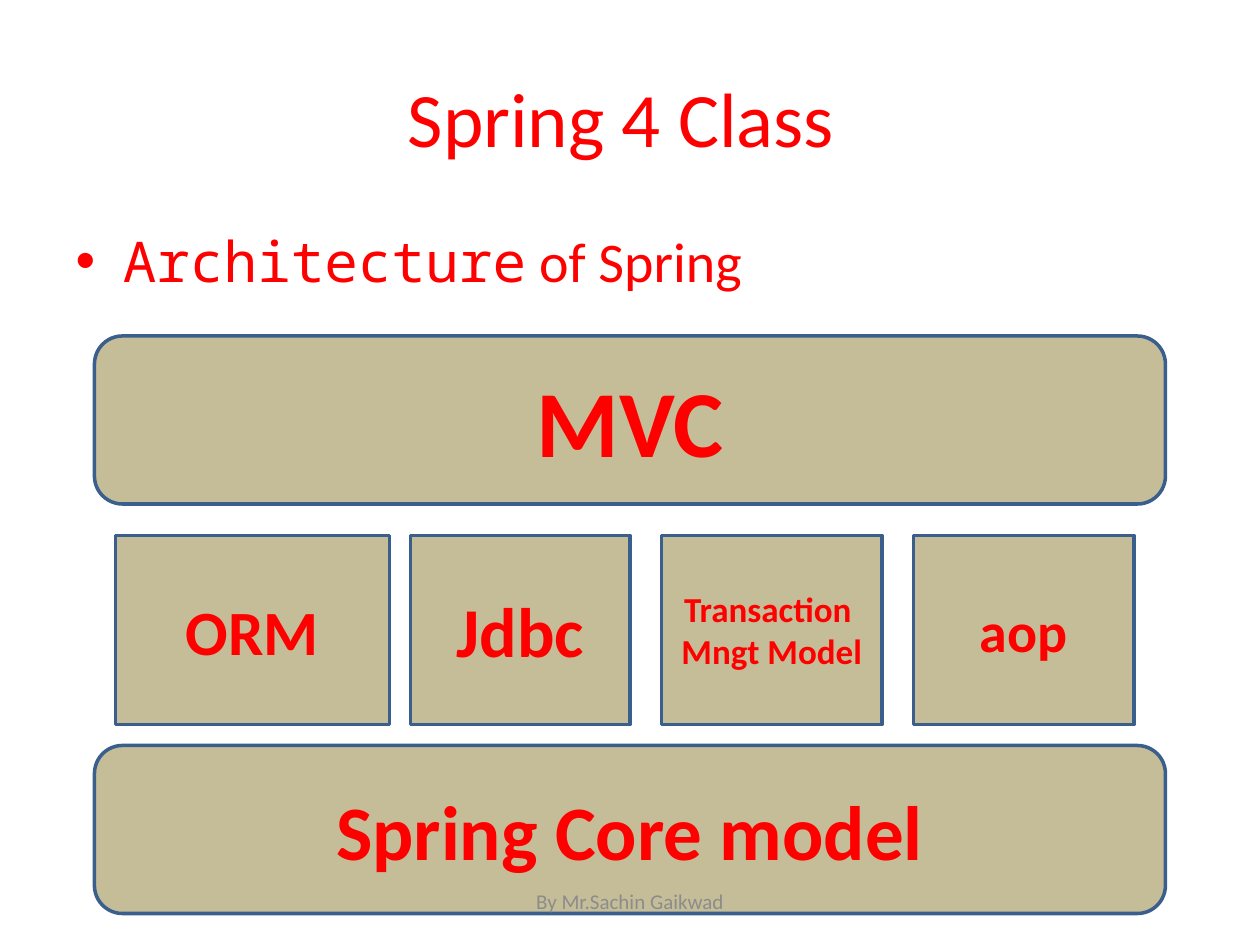
"""Build the Spring architecture slide."""
import pptx
import pptx.util
import pptx.dml.color
import pptx.enum.shapes
import pptx.enum.text

Pt = pptx.util.Pt
SHAPE = pptx.enum.shapes.MSO_SHAPE
ALIGN = pptx.enum.text.PP_ALIGN
MIDDLE = pptx.enum.text.MSO_ANCHOR.MIDDLE

RED, TAN, NAVY, GREY = "FF0000", "C4BD97", "3A5F8C", "8C8C8C"
TITLE = "Spring 4 Class "
TOPIC = [("Architecture", "Noto Sans Mono"), (" of Spring", "Calibri")]
LAYERS = [("Spring Core model", 44, 426), ("MVC", 54, 192)]
MODULES = [
    (["ORM"], 36, 66, 156.5),
    (["Jdbc"], 40, 234.5, 125.5),
    (["Transaction ", "Mngt Model"], 20, 378, 126),
    (["aop"], 32, 522, 126),
]
AUTHOR = "By Mr.Sachin Gaikwad"


def colour(value):
    return pptx.dml.color.RGBColor.from_string(value)


def apply(target, formats):
    for name, value in formats.items():
        setattr(target, name, value)


def place(part, left, top, width, height):
    box = {"left": left, "top": top, "width": width, "height": height}
    apply(part, {side: Pt(length) for side, length in box.items()})


def add_run(paragraph, words, size, ink=RED, face="Calibri", bold=False):
    run = paragraph.add_run()
    run.text = words
    apply(run.font, {"name": face, "size": Pt(size), "bold": bold})
    run.font.color.rgb = colour(ink)


def write_centred(frame, lines, size, **style):
    apply(frame, {"word_wrap": True, "vertical_anchor": MIDDLE})
    for index, words in enumerate(lines):
        paragraph = frame.add_paragraph() if index else frame.paragraphs[0]
        paragraph.alignment = ALIGN.CENTER
        add_run(paragraph, words, size, **style)


def add_block(slide, kind, box, lines, size):
    block = slide.shapes.add_shape(kind, *map(Pt, box))
    block.shadow.inherit = False
    block.fill.solid()
    block.fill.fore_color.rgb = colour(TAN)
    block.line.color.rgb = colour(NAVY)
    block.line.width = Pt(2)
    write_centred(block.text_frame, lines, size, bold=True)


def main():
    deck = pptx.Presentation()
    apply(deck, {"slide_width": Pt(720), "slide_height": Pt(540)})
    slide = deck.slides.add_slide(deck.slide_layouts[1])

    title, topic = slide.shapes.title, slide.placeholders[1]
    place(title, 36, 21.6, 648, 90)
    write_centred(title.text_frame, [TITLE], 44)
    place(topic, 36, 126, 648, 356.4)
    for words, face in TOPIC:
        add_run(topic.text_frame.paragraphs[0], words, 32, face=face)

    for words, size, top in LAYERS:
        add_block(slide, SHAPE.ROUNDED_RECTANGLE, (54, top, 612, 96), [words], size)
    for lines, size, left, width in MODULES:
        add_block(slide, SHAPE.RECTANGLE, (left, 306, width, 108), lines, size)

    author = slide.shapes.add_textbox(*map(Pt, (246, 500.5, 228, 28.75)))
    write_centred(author.text_frame, [AUTHOR], 12, ink=GREY)
    deck.save("out.pptx")


if __name__ == "__main__":
    main()
